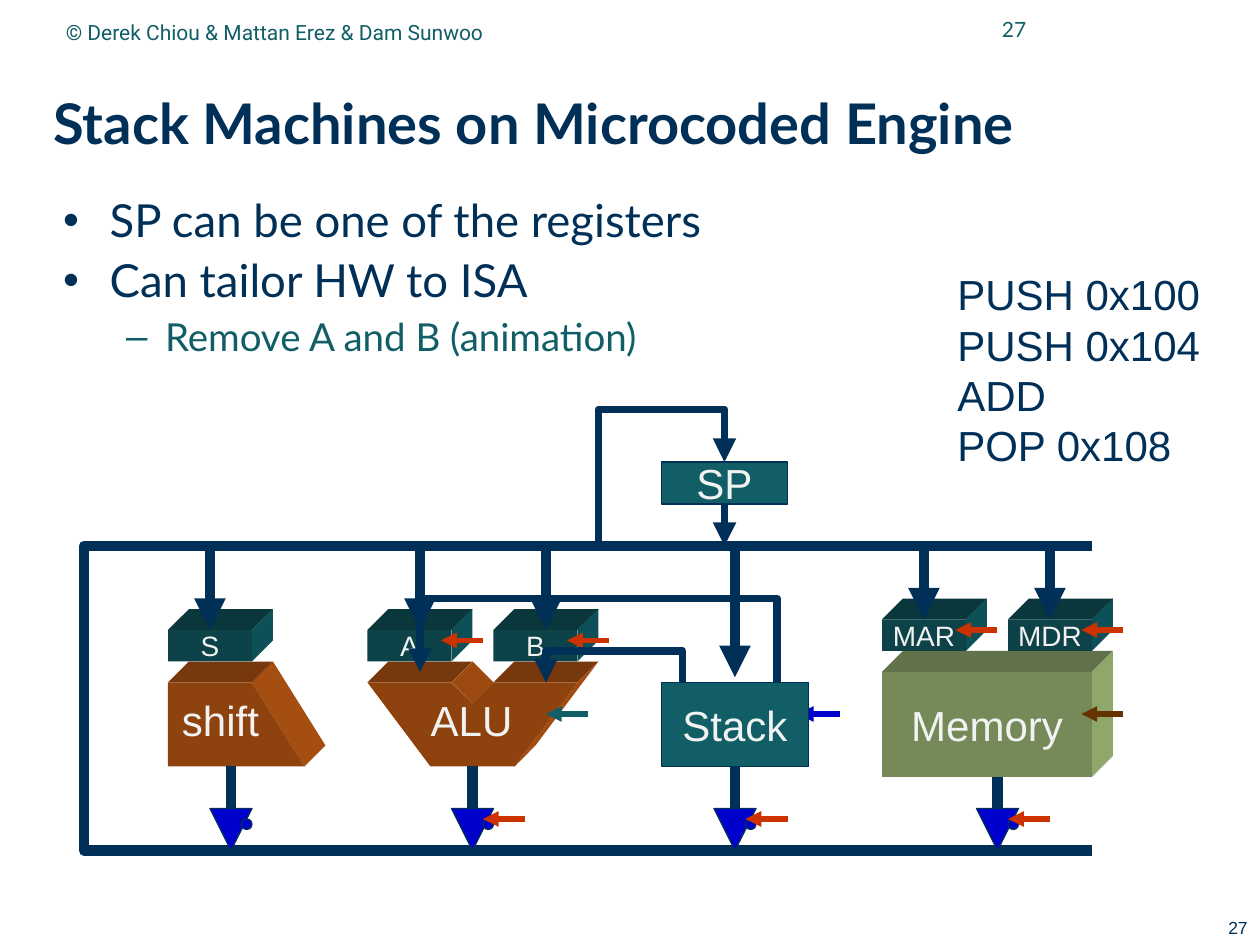
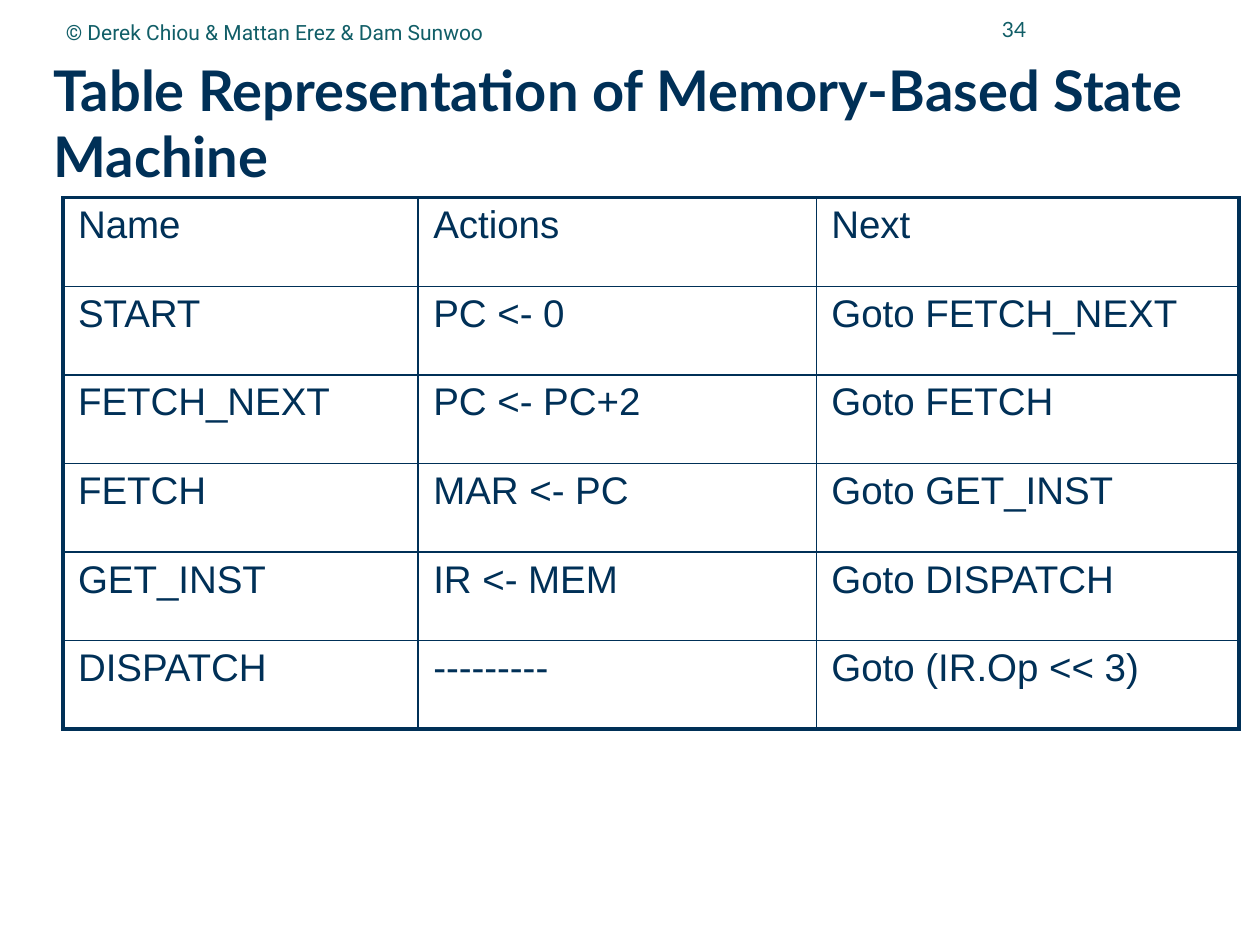
from dataclasses import dataclass
from math import hypot

from lxml.etree import SubElement
from pptx import Presentation
from pptx.dml.color import RGBColor
from pptx.enum.shapes import MSO_CONNECTOR, MSO_SHAPE
from pptx.enum.text import MSO_ANCHOR, PP_ALIGN
from pptx.oxml.ns import qn
from pptx.util import Pt

COLORS = {
    "navy": "003057", "teal": "115E67", "orange": "CB6015", "green": "A9C47F",
    "light": "F2F2F2", "red": "CC3300", "blue": "0000CC", "brown": "663300",
}
BODY_FONT, DIAGRAM_FONT, FOOTER_FONT = "Lato", "Arial", "Roboto"
DEPTH = 12  # extrusion of the solid blocks, up and to the right
BUS_TOP, BUS_BOTTOM = 312, 486
CONTROL_LENGTH = 24

Point = tuple[float, float]


@dataclass
class Bullet:
    text: str
    mark: str
    color: str
    size: float
    left: float
    hang: float
    before: float


@dataclass
class Register:
    label: str
    x: float
    y: float
    drop_x: float
    centered: bool  # the drop from the bus meets the middle of the top side


@dataclass
class Control:
    x: float
    y: float
    color: str = "red"


@dataclass
class Driver:
    x: float
    top: float
    controlled: bool = True


BULLETS = [
    Bullet("SP can be one of the registers", "•", "navy", 26, 26.64, 26.64, 6.5),
    Bullet("Can tailor HW to ISA", "•", "navy", 26, 26.64, 26.64, 6.5),
    Bullet("Remove A and B (animation)", "–", "teal", 22, 58.32, 22.32, 6),
]
REGISTERS = [
    Register("MAR", 504, 354, 528, True), Register("MDR", 576, 354, 600, True),
    Register("S", 96, 360, 120, True),
    Register("A", 210, 360, 240, False), Register("B", 282, 360, 312, False),
]
CONTROLS = [
    Control(276, 366), Control(348, 366), Control(570, 360), Control(642, 360),
    Control(642, 408, "brown"), Control(336, 408, "teal"),
]
DRIVERS = [Driver(132, 438, False), Driver(270, 438), Driver(420, 438), Driver(570, 444)]
# Outlines run clockwise
SHIFT = [(96, 390), (144, 390), (174, 438), (96, 438)]
ALU = [(270, 402), (282, 390), (330, 390), (294, 438), (246, 438), (210, 390), (258, 390)]
LOOPS = [
    [(390, 390), (390, 372), (312, 372), (312, 390)],
    [(444, 390), (444, 342), (240, 342), (240, 384)],
    [(342, BUS_TOP), (342, 234), (414, 234), (414, 264)],
]
STATES = [
    ("Name", "Actions", "Next"),
    ("START", "PC <- 0", "Goto FETCH_NEXT"),
    ("FETCH_NEXT", "PC <- PC+2", "Goto FETCH"),
    ("FETCH", "MAR <- PC", "Goto GET_INST"),
    ("GET_INST", "IR <- MEM", "Goto DISPATCH"),
    ("DISPATCH", "---------", "Goto (IR.Op << 3)"),
]


def rgb(name: str, shade: float = 1) -> RGBColor:
    return RGBColor(*(round(c * shade) for c in RGBColor.from_string(COLORS[name])))


# Text
def write(tf, text: str, *, size: float, color: str = "navy", font: str = DIAGRAM_FONT,
          bold: bool = False, align=PP_ALIGN.LEFT, anchor=MSO_ANCHOR.TOP,
          insets: Point = (7.2, 3.6), wrap: bool = True, spacing: float | None = None) -> None:
    tf.word_wrap = wrap
    tf.vertical_anchor = anchor
    tf.margin_left = tf.margin_right = Pt(insets[0])
    tf.margin_top = tf.margin_bottom = Pt(insets[1])
    for i, line in enumerate(text.split("\n")):
        p = tf.add_paragraph() if i else tf.paragraphs[0]
        p.alignment = align
        if spacing:
            p.line_spacing = spacing
        r = p.add_run()
        r.text = line
        r.font.size, r.font.name, r.font.bold = Pt(size), font, bold
        r.font.color.rgb = rgb(color)


def text_box(s, text: str, x: float, y: float, w: float, h: float, **fmt) -> None:
    write(s.shapes.add_textbox(Pt(x), Pt(y), Pt(w), Pt(h)).text_frame, text, **fmt)


def label(tf, text: str, size: float) -> None:
    write(tf, text, size=size, color="light", align=PP_ALIGN.CENTER,
          anchor=MSO_ANCHOR.MIDDLE, insets=(0, 0), wrap=False)


def bullet_list(s, bullets: list[Bullet], x: float, y: float, w: float, h: float) -> None:
    tf = s.shapes.add_textbox(Pt(x), Pt(y), Pt(w), Pt(h)).text_frame
    write(tf, "\n".join(b.text for b in bullets), size=26, font=BODY_FONT,
          insets=(0, 0), spacing=0.9)
    for p, b in zip(tf.paragraphs, bullets):
        p.space_before = Pt(b.before)
        p.runs[0].font.size = Pt(b.size)
        p.runs[0].font.color.rgb = rgb(b.color)
        pPr = p._p.get_or_add_pPr()
        pPr.set("marL", str(Pt(b.left)))
        pPr.set("indent", str(-Pt(b.hang)))
        SubElement(SubElement(pPr, qn("a:buClr")), qn("a:srgbClr"), val=COLORS[b.color])
        SubElement(pPr, qn("a:buFont"), typeface="Arial")
        SubElement(pPr, qn("a:buChar"), char=b.mark)


# Shapes and lines
def paint(sp, fill: RGBColor | None, line: float = 0):
    sp.shadow.inherit = False
    if fill is None:
        sp.fill.background()
    else:
        sp.fill.solid()
        sp.fill.fore_color.rgb = fill
    if line:
        sp.line.color.rgb = rgb("navy")
        sp.line.width = Pt(line)
    else:
        sp.line.fill.background()
    return sp


def shape(s, kind, x: float, y: float, w: float, h: float, fill: RGBColor, line: float = 0):
    return paint(s.shapes.add_shape(kind, Pt(x), Pt(y), Pt(w), Pt(h)), fill, line)


def freeform(s, pts: list[Point], fill: RGBColor | None = None, line: float = 0):
    pts = [(Pt(x), Pt(y)) for x, y in pts]
    builder = s.shapes.build_freeform(*pts[0])
    builder.add_line_segments(pts[1:], close=fill is not None)
    return paint(builder.convert_to_shape(), fill, line)


def add_arrowhead(sp) -> None:
    SubElement(sp.element.spPr.find(qn("a:ln")), qn("a:tailEnd"), type="triangle")


def arrow(s, start: Point, end: Point, width: float, color: str = "navy"):
    c = s.shapes.add_connector(MSO_CONNECTOR.STRAIGHT, *(Pt(v) for v in (*start, *end)))
    c.line.color.rgb = rgb(color)
    c.line.width = Pt(width)
    add_arrowhead(c)
    SubElement(c.element.spPr, qn("a:effectLst"))
    return c


def control_arrow(s, c: Control) -> None:
    arrow(s, (c.x, c.y), (c.x - CONTROL_LENGTH, c.y), 3, c.color)


def side_faces(s, pts: list[Point], color: str) -> None:
    """Draw the faces seen from the upper right, darkest on top."""
    for (x1, y1), (x2, y2) in zip(pts, pts[1:] + pts[:1]):
        dx, dy = x2 - x1, y2 - y1
        if dx + dy > 0:
            face = [(x1, y1), (x2, y2), (x2 + DEPTH, y2 - DEPTH), (x1 + DEPTH, y1 - DEPTH)]
            freeform(s, face, rgb(color, 0.58 + 0.27 * dy / hypot(dx, dy)))


def prism(s, pts: list[Point], color: str) -> None:
    side_faces(s, pts, color)
    freeform(s, pts, rgb(color, 0.7))


def box(s, text: str, x: float, y: float, w: float, h: float, color: str, size: float):
    side_faces(s, [(x, y), (x + w, y), (x + w, y + h), (x, y + h)], color)
    sp = shape(s, MSO_SHAPE.RECTANGLE, x, y, w, h, rgb(color, 0.7))
    label(sp.text_frame, text, size)
    return sp


def flat_box(s, text: str, x: float, y: float, w: float, h: float):
    sp = shape(s, MSO_SHAPE.RECTANGLE, x, y, w, h, rgb("teal"), 0.75)
    label(sp.text_frame, text, 24)
    return sp


# Parts that every slide has
def new_slide(prs, title: str, number: str):
    s = prs.slides.add_slide(prs.slide_layouts[6])
    text_box(s, title, 30.5, 36, 677.5, 70.5, size=32, font=BODY_FONT, bold=True,
             anchor=MSO_ANCHOR.MIDDLE, insets=(0, 0), spacing=0.99)
    text_box(s, "© Derek Chiou & Mattan Erez & Dam Sunwoo", 30.5, 2, 408, 33, size=12,
             color="teal", font=FOOTER_FONT, anchor=MSO_ANCHOR.MIDDLE)
    text_box(s, number, 528, -1.5, 65.5, 36, size=12, color="teal", font=BODY_FONT,
             align=PP_ALIGN.RIGHT, anchor=MSO_ANCHOR.MIDDLE)
    return s


def stack_machine_slide(prs) -> None:
    s = new_slide(prs, "Stack Machines on Microcoded Engine", "27")
    bullet_list(s, BULLETS, 36, 113, 672, 425)
    text_box(s, "27", 552, 520.5, 168, 19.5, size=10, align=PP_ALIGN.RIGHT)

    # Functional units and their registers
    box(s, "Memory", 504, 384, 120, 60, "green", 24)
    prism(s, SHIFT, "orange")
    prism(s, ALU, "orange")
    registers = [box(s, r.label, r.x, r.y, 48, 18, "teal", 16) for r in REGISTERS]
    for text, x, w in (("shift", 97, 58), ("ALU", 239, 61)):
        sp = s.shapes.add_textbox(Pt(x), Pt(393), Pt(w), Pt(36))
        label(sp.text_frame, text, 24)

    # Bus and the drops into the registers
    freeform(s, [(624, BUS_TOP), (48, BUS_TOP), (48, BUS_BOTTOM), (624, BUS_BOTTOM)], line=6)
    for r, sp in zip(REGISTERS, registers):
        c = arrow(s, (r.drop_x, BUS_TOP), (r.drop_x, r.y), 6)
        if r.centered:
            c.end_connect(sp, 0)
    arrow(s, (420, BUS_TOP), (420, 387), 6)

    # The stack covers the tip of its control arrow
    control_arrow(s, Control(480, 408, "blue"))
    stack = flat_box(s, "Stack", 378, 390, 84, 48)

    # Tri-state drivers onto the bus
    for d in DRIVERS:
        c = arrow(s, (d.x, d.top), (d.x, BUS_BOTTOM), 6)
        if d.x == 420:
            c.begin_connect(stack, 2)
        sp = shape(s, MSO_SHAPE.ISOSCELES_TRIANGLE, d.x - 12, 462, 24, 24, rgb("blue"), 0.75)
        sp.rotation = 180
        shape(s, MSO_SHAPE.OVAL, d.x + 6, 468, 6, 6, rgb("blue"), 0.75)
        if d.controlled:
            control_arrow(s, Control(d.x + 30, 468))
    for control in CONTROLS:
        control_arrow(s, control)

    # Stack pointer and feedback loops
    sp_box = flat_box(s, "SP", 378, 264, 72, 24)
    arrow(s, (414, 288), (414, BUS_TOP), 4.5).begin_connect(sp_box, 2)
    for pts in LOOPS:
        add_arrowhead(freeform(s, pts, line=4.5))

    text_box(s, "PUSH 0x100\nPUSH 0x104\nADD\nPOP 0x108", 540, 150, 153, 122,
             size=24, wrap=False)


def border(cell, side: str, width: float) -> None:
    ln = SubElement(cell._tc.get_or_add_tcPr(), qn(f"a:ln{side}"), w=str(Pt(width)))
    SubElement(SubElement(ln, qn("a:solidFill")), qn("a:srgbClr"), val=COLORS["navy"])


def state_table_slide(prs) -> None:
    s = new_slide(prs, "Table Representation of Memory-Based State Machine", "34")
    widths, row_height = (203, 227.5, 241.5), 50.6
    last_row, last_col = len(STATES) - 1, len(widths) - 1
    table = s.shapes.add_table(len(STATES), len(widths), Pt(36), Pt(113), Pt(sum(widths)),
                               Pt(row_height * len(STATES))).table
    table.first_row = table.horz_banding = False
    for col, w in zip(table.columns, widths):
        col.width = Pt(w)
    for i, row in enumerate(STATES):
        table.rows[i].height = Pt(row_height)
        for j, text in enumerate(row):
            cell = table.cell(i, j)
            write(cell.text_frame, text, size=22)
            cell.margin_left = cell.margin_right = Pt(8.64)
            cell.margin_top = cell.margin_bottom = Pt(3.6)
            cell.vertical_anchor = MSO_ANCHOR.TOP
            outer = {"L": j == 0, "R": j == last_col, "T": i == 0, "B": i == last_row}
            for side, is_outer in outer.items():
                border(cell, side, 2.25 if is_outer else 1)
            cell.fill.background()


def main() -> None:
    prs = Presentation()
    prs.slide_width, prs.slide_height = Pt(720), Pt(540)
    stack_machine_slide(prs)
    state_table_slide(prs)
    prs.save("out.pptx")


if __name__ == "__main__":
    main()
